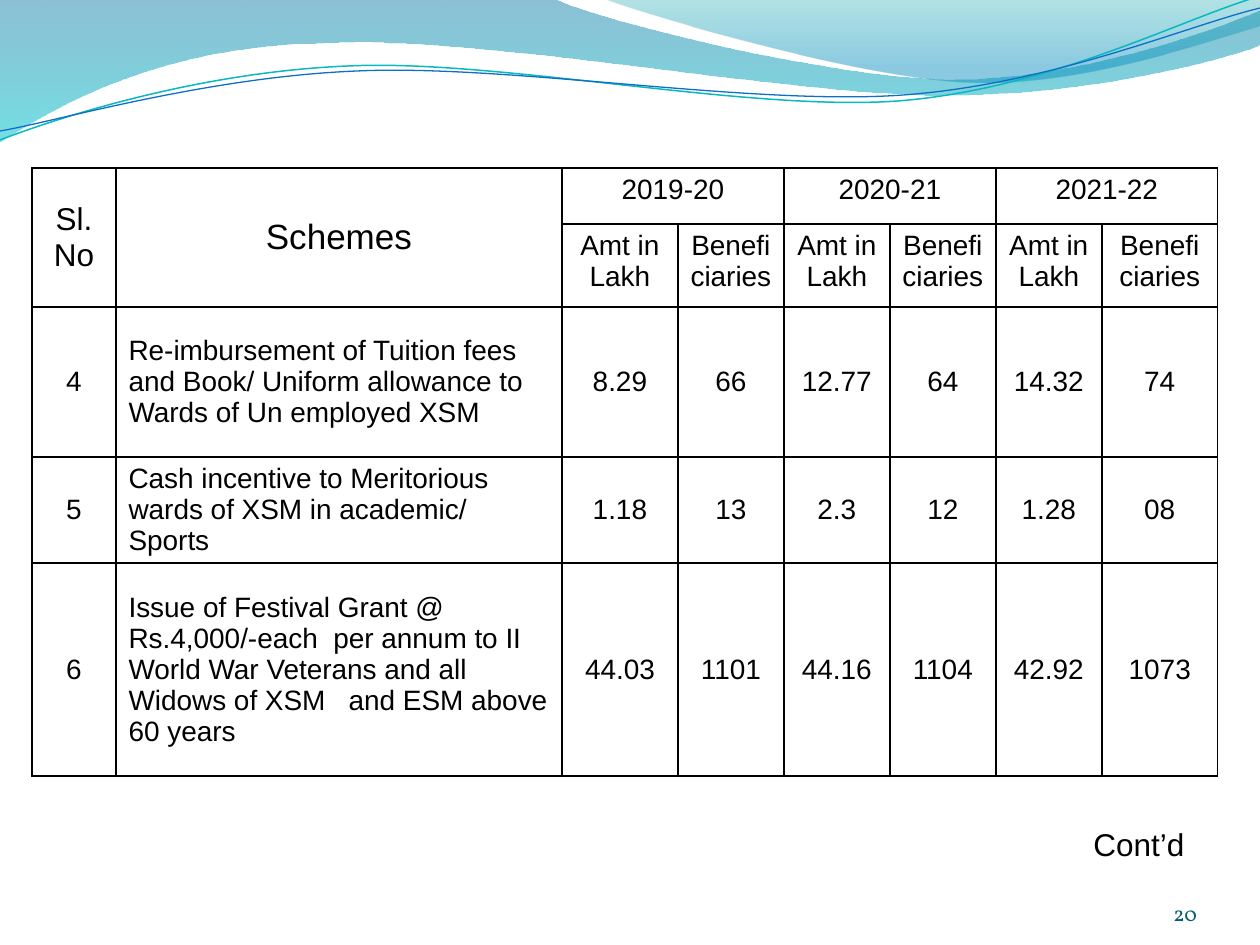
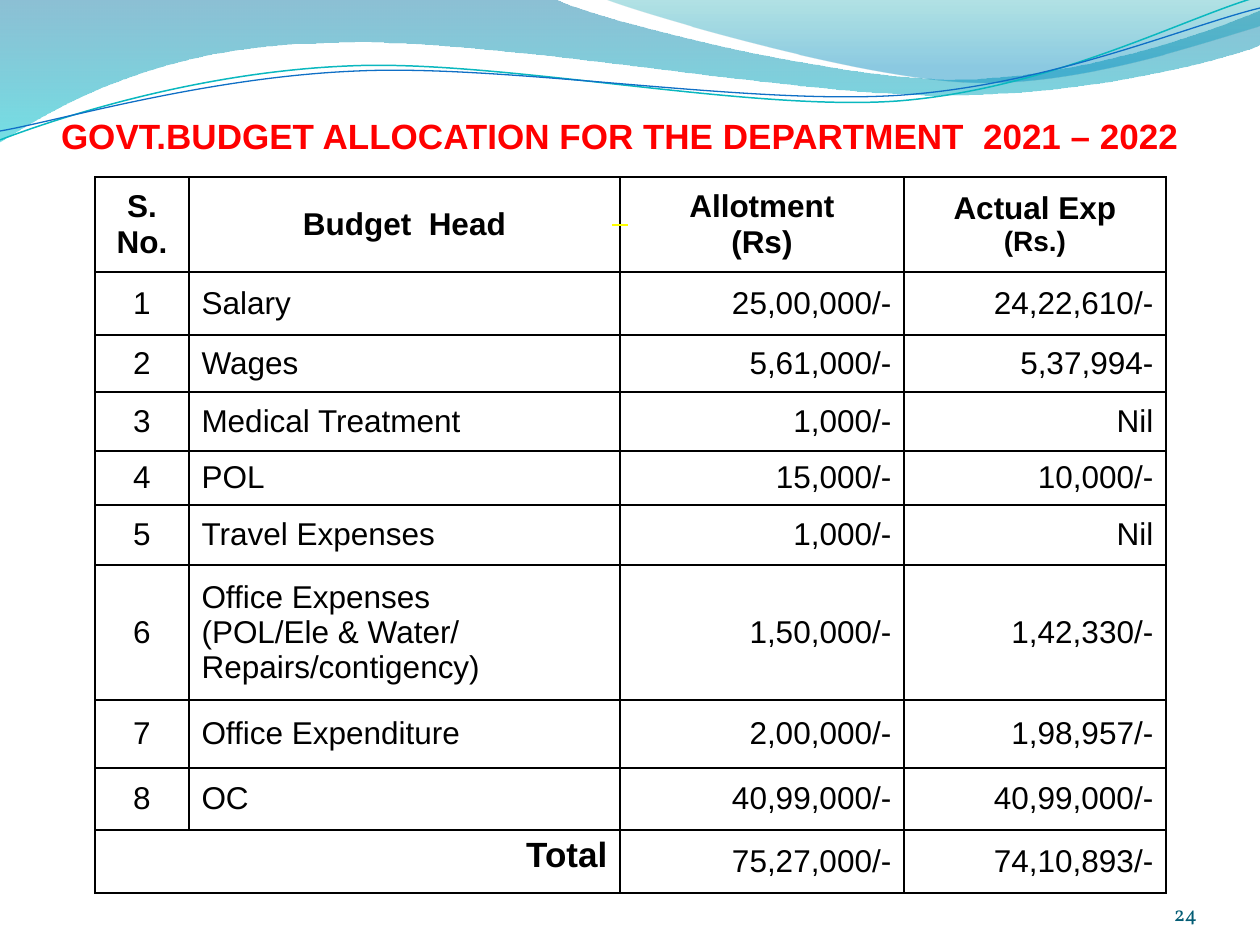
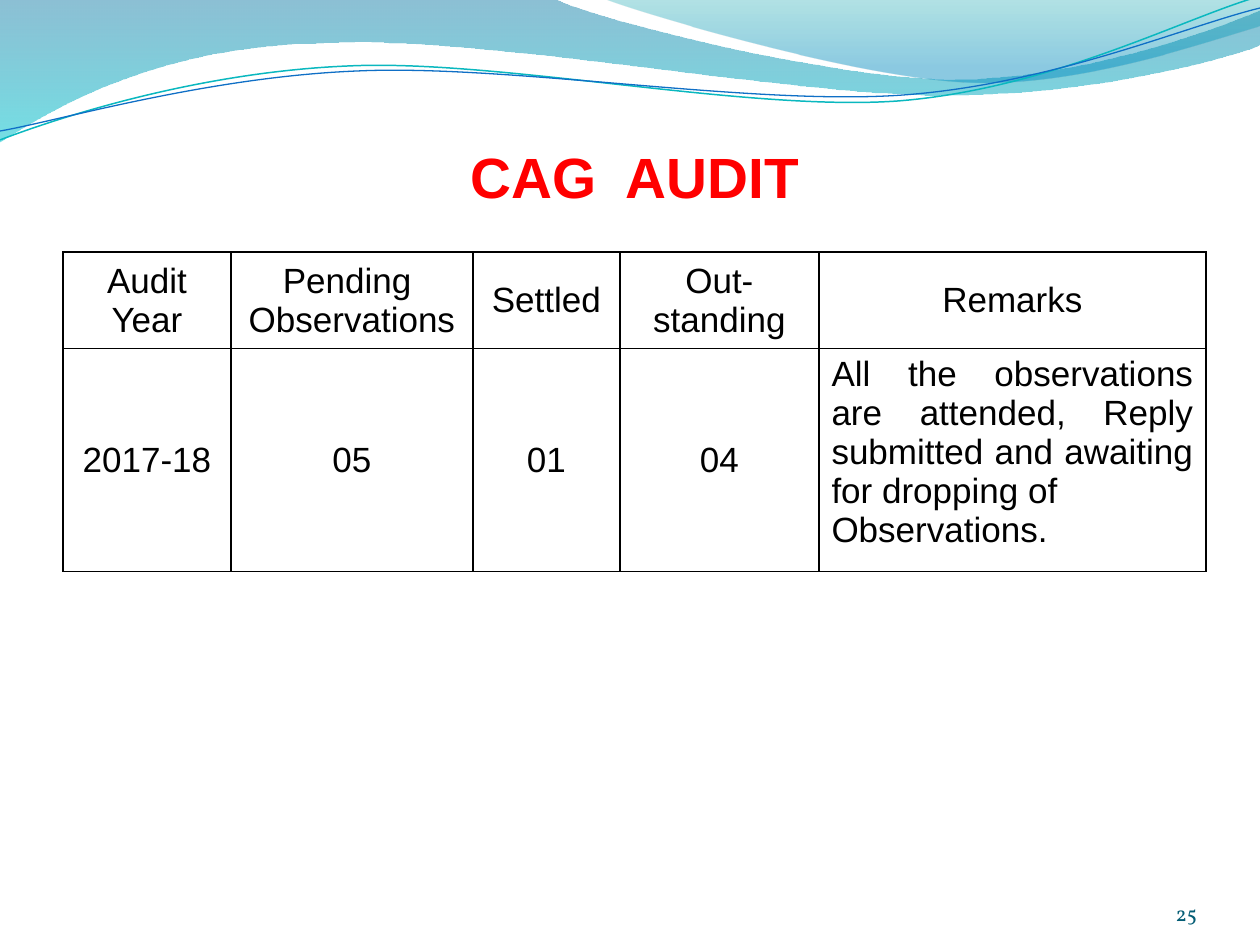
from math import cos, radians, sin

from lxml import etree
from pptx import Presentation
from pptx.dml.color import RGBColor
from pptx.enum.text import MSO_ANCHOR, MSO_AUTO_SIZE, PP_ALIGN
from pptx.oxml.ns import qn
from pptx.util import Pt

PX = 914400 / 126  # EMU in one pixel
WIDE, HIGH = 1260, 945
TILT = -2.7  # turn of the thin waves, in degrees
HUB = (629, 73)  # centre of that turn

LEFT, MID, RIGHT, FULL = PP_ALIGN.LEFT, PP_ALIGN.CENTER, PP_ALIGN.RIGHT, PP_ALIGN.JUSTIFY
TOP, CORE, BASE = MSO_ANCHOR.TOP, MSO_ANCHOR.MIDDLE, MSO_ANCHOR.BOTTOM
GROW = MSO_AUTO_SIZE.SHAPE_TO_FIT_TEXT

BLACK = RGBColor(0x00, 0x00, 0x00)
RED = RGBColor(0xFF, 0x00, 0x00)
YELLOW = RGBColor(0xFF, 0xFF, 0x00)
INK = RGBColor(0x04, 0x5D, 0x75)
STEEL = RGBColor(0x00, 0x74, 0xA1)
AQUA = RGBColor(0x00, 0xC6, 0xCF)
TEAL = RGBColor(0x00, 0xA1, 0xA9)
SKY = RGBColor(0x00, 0x8B, 0xBF)
CYAN = RGBColor(0x0A, 0xB8, 0xBF)
BLUE = RGBColor(0x0F, 0x6F, 0xC6)

BODY = {"name": "Arial", "size": Pt(16), "bold": False, "color": BLACK}
TITLE = {**BODY, "size": Pt(20), "bold": True, "color": RED}
FOOT = {**BODY, "name": "Vollkorn", "size": Pt(12), "color": INK}

# Each outline: a start, then points (two values) or curves (six values)
BANDS = [
    ([(0, 0), (554, -1), (600, 21, 837, 79, 955, 79), (1075, 79, 1207, 33, 1260, 11),
      (1261, 45), (1239, 55, 1096, 96, 940, 95), (784, 95, 481, 35, 324, 43),
      (163, 45, 58, 105, -1, 142)],
     [(0, STEEL, 45), (1, AQUA, 55)]),
    ([(604, -1), (641, 14, 859, 78, 969, 82), (1079, 87, 1211, 40, 1260, 26), (1260, 0)],
     [(0, TEAL, 30), (0.8, SKY, 45)]),
]
WAVES = [
    ([(0, 140), (60, 117, 199, 72, 349, 66), (498, 59, 747, 112, 898, 101),
      (1050, 89, 1182, 19, 1257, -3)], CYAN, 0.85),
    ([(0, 131), (58, 121, 207, 77, 357, 71), (508, 64, 752, 106, 903, 95),
      (1053, 84, 1186, 26, 1260, 8)], BLUE, 0.75),
]


def emu(*vals):
    return [round(v * PX) for v in vals]


def apply(obj, vals):
    for key, val in vals.items():
        setattr(obj, key, val)


def style(font, look):
    apply(font, {k: v for k, v in look.items() if k != "color"})
    font.color.rgb = look["color"]


def write(frame, lines, align):
    """Put (text, look) lines into a text frame, one paragraph each."""
    for i, (text, look) in enumerate(lines):
        para = frame.add_paragraph() if i else frame.paragraphs[0]
        para.alignment = align
        run = para.add_run()
        run.text = text
        style(run.font, look)


def label(slide, box, lines, align, **opts):
    frame = slide.shapes.add_textbox(*emu(*box)).text_frame
    apply(frame, {"word_wrap": True, **opts})
    write(frame, lines, align)


def turn(x, y, angle):
    """Turn a point around the hub."""
    a, dx, dy = radians(angle), x - HUB[0], y - HUB[1]
    return (HUB[0] + dx * cos(a) - dy * sin(a), HUB[1] + dx * sin(a) + dy * cos(a))


def trace(shapes, path, close, tilt=0):
    """Draw an outline of points and curves, laid level and then tilted."""
    steps = [[emu(*turn(*step[i:i + 2], -tilt)) for i in range(0, len(step), 2)]
             for step in path]
    pen = shapes.build_freeform(*steps[0][-1], scale=1.0)
    pen.add_line_segments([step[-1] for step in steps[1:]], close=close)
    shape = pen.convert_to_shape()
    shape.shadow.inherit = False
    # Bend the sides that are curves
    sides = list(shape._element.iter(qn("a:lnTo")))
    for side, step in zip(sides, steps[1:]):
        if len(step) == 3:
            curve = etree.Element(qn("a:cubicBezTo"))
            for x, y in step:
                etree.SubElement(curve, qn("a:pt"), x=str(x - shape.left),
                                 y=str(y - shape.top))
            side.getparent().replace(side, curve)
    shape.rotation = tilt
    return shape


def header(slide):
    # Tinted bands
    for path, stops in BANDS:
        shape = trace(slide.shapes, path, True)
        shape.line.fill.background()
        shape.fill.gradient()
        shape.fill.gradient_angle = 270
        for stop, (pos, color, _) in zip(shape.fill.gradient_stops, stops):
            stop.position = pos
            stop.color.rgb = color
        tints = shape._element.spPr.iter(qn("a:srgbClr"))
        for tint, (_, _, alpha) in zip(list(tints), stops):
            etree.SubElement(tint, qn("a:alpha"), val=str(alpha * 1000))
    # Thin waves
    pair = slide.shapes.add_group_shape()
    for path, color, width in WAVES:
        shape = trace(pair.shapes, path, False, TILT)
        shape.fill.background()
        shape.line.color.rgb = color
        shape.line.width = Pt(width)


def footer(slide, num):
    label(slide, (1092, 876, 105, 50), [(num, FOOT)], RIGHT, vertical_anchor=BASE,
          margin_left=0, margin_top=0, margin_right=0, margin_bottom=0)


def border(cell):
    props = cell._tc.get_or_add_tcPr()
    for side in ("a:lnL", "a:lnR", "a:lnT", "a:lnB"):
        line = etree.SubElement(props, qn(side), w=str(Pt(1)))
        fill = etree.SubElement(line, qn("a:solidFill"))
        etree.SubElement(fill, qn("a:srgbClr"), val=str(BLACK))


def grid(slide, box, cols, rows, data, rule, spans=()):
    """Build a table; rule(r, c) gives (look, align, anchor) for a cell."""
    frame = slide.shapes.add_table(len(rows), len(cols), *emu(*box))
    table = frame.table
    apply(table, {"first_row": False, "horz_banding": False})
    for col, size in zip(table.columns, emu(*cols)):
        col.width = size
    for row, size in zip(table.rows, emu(*rows)):
        row.height = size
    frame.width, frame.height = emu(*box[2:])
    for r, line in enumerate(data):
        for c, text in enumerate(line):
            cell = table.cell(r, c)
            border(cell)
            cell.fill.background()
            if text:
                look, align, anchor = rule(r, c)
                cell.vertical_anchor = anchor
                write(cell.text_frame, [(t, look) for t in text.split("\n")], align)
    for r, c, down, over in spans:
        table.cell(r, c).merge(table.cell(r + down - 1, c + over - 1))
    return table


def schemes(slide):
    data = [
        ["Sl. No", "Schemes", "2019-20", None, "2020-21", None, "2021-22", None],
        [None, None] + ["Amt in Lakh", "Beneficiaries"] * 3,
        ["4", "Re-imbursement of Tuition fees and Book/ Uniform allowance to Wards of "
              "Un employed XSM", "8.29", "66", "12.77", "64", "14.32", "74"],
        ["5", "Cash incentive to Meritorious wards of XSM in academic/ Sports ",
         "1.18", "13", "2.3", "12", "1.28", "08"],
        ["6", "Issue of Festival Grant @ Rs.4,000/-each  per annum to II World War "
              "Veterans and all Widows of XSM   and ESM above 60 years",
         "44.03", "1101", "44.16", "1104", "42.92", "1073"],
    ]

    def rule(r, c):
        size = {(0, 0): 18, (0, 1): 20}.get((r, c), 16)
        return ({**BODY, "size": Pt(size)}, LEFT if c == 1 and r > 1 else MID,
                TOP if r < 2 <= c else CORE)

    spans = [(0, c, 2, 1) for c in (0, 1)] + [(0, c, 1, 2) for c in (2, 4, 6)]
    grid(slide, (32, 168, 1186, 612), [84, 446, 116] + [106] * 4 + [116],
         [56, 67, 150, 53, 213], data, rule, spans)
    footer(slide, "20")
    label(slide, (1081, 819, 147, 89), [("Cont’d", {**BODY, "size": Pt(18)})], LEFT,
          auto_size=GROW)


def budget(slide):
    footer(slide, "24")
    heads = [
        ("Salary", "25,00,000/-", "24,22,610/-"),
        ("Wages", "5,61,000/-", "5,37,994-"),
        ("Medical Treatment", "1,000/-", "Nil"),
        ("POL", "15,000/-", "10,000/-"),
        ("Travel Expenses", "1,000/-", "Nil"),
        ("Office Expenses\n(POL/Ele & Water/ Repairs/contigency)",
         "1,50,000/-", "1,42,330/-"),
        ("Office Expenditure", "2,00,000/-", "1,98,957/-"),
        ("OC", "40,99,000/-", "40,99,000/-"),
    ]
    data = [["S. No.", "Budget  Head", "Allotment\n(Rs)", "Actual Exp\n(Rs.)"]]
    data += [[str(i), *head] for i, head in enumerate(heads, 1)]
    data.append(["Total", None, "75,27,000/-", "74,10,893/-"])
    last = len(data) - 1

    def rule(r, c):
        if (r, c) == (last, 0):
            return {**BODY, "size": Pt(20), "bold": True}, RIGHT, TOP
        align = MID if r == 0 else (MID, LEFT, RIGHT, RIGHT)[c]
        return {**BODY, "size": Pt(18), "bold": r == 0}, align, CORE

    table = grid(slide, (95, 177, 1071, 716), [94, 431, 284, 262],
                 [95, 63, 57, 59, 54, 60, 135, 68, 62, 63], data, rule,
                 [(last, 0, 1, 2)])
    table.cell(0, 3).text_frame.paragraphs[1].runs[0].font.size = Pt(16)
    # Title with a short underline below it
    mark = {**BODY, "name": "League Spartan", "size": Pt(37), "color": YELLOW,
            "underline": True}
    label(slide, (-10, 108, WIDE, 134),
          [("GOVT.BUDGET ALLOCATION FOR THE DEPARTMENT  2021 – 2022", TITLE),
           (" ", mark)], MID, auto_size=GROW)


def audit(slide):
    label(slide, (63, 137, 1144, 73), [("CAG  AUDIT", {**TITLE, "size": Pt(32.4)})],
          MID, vertical_anchor=BASE, margin_left=0, margin_right=0, margin_bottom=0)
    data = [
        ["Audit Year", "Pending \nObservations", "Settled", "Out-\nstanding", "Remarks"],
        ["2017-18", "05", "01", "04",
         "All the observations are attended, Reply submitted and awaiting for "
         "dropping of\nObservations."],
    ]

    def rule(r, c):
        note = (r, c) == (1, 4)
        return {**BODY, "size": Pt(20)}, FULL if note else MID, TOP if note else CORE

    table = grid(slide, (63, 252, 1143, 319), [168, 242, 147, 199, 387], [82, 144],
                 data, rule)
    table.cell(1, 4).text_frame.paragraphs[1].alignment = LEFT
    footer(slide, "25")


deck = Presentation()
deck.slide_width, deck.slide_height = emu(WIDE, HIGH)
for build in (schemes, budget, audit):
    page = deck.slides.add_slide(deck.slide_layouts[6])
    header(page)
    build(page)
deck.save("out.pptx")
